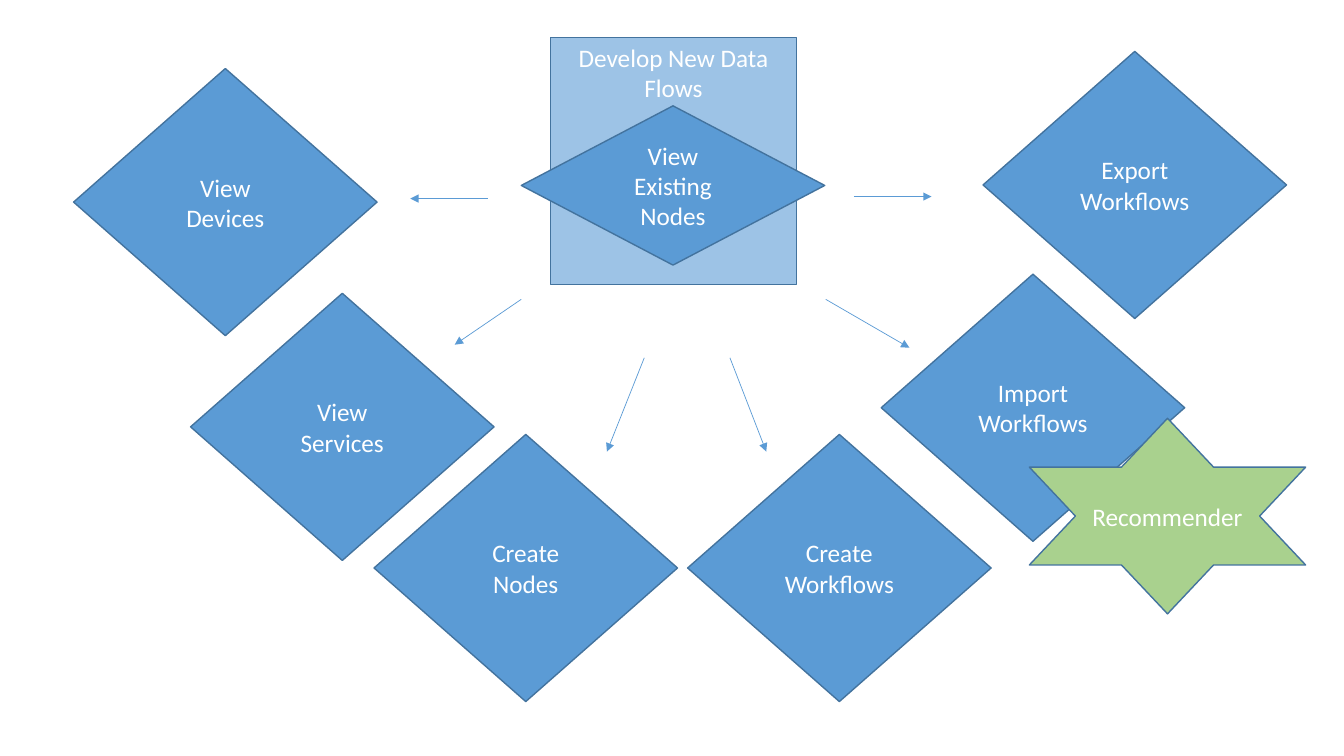
"""Builds a one-slide map of data flow actions around a central node viewer."""
from lxml import etree
from pptx import Presentation
from pptx.dml.color import RGBColor
from pptx.enum.shapes import MSO_CONNECTOR, MSO_SHAPE
from pptx.enum.text import MSO_ANCHOR, PP_ALIGN
from pptx.oxml.ns import qn
from pptx.util import Inches, Pt

RECTANGLE, DIAMOND, STAR = MSO_SHAPE.RECTANGLE, MSO_SHAPE.DIAMOND, MSO_SHAPE.STAR_6_POINT
STRAIGHT = MSO_CONNECTOR.STRAIGHT
TOP, MIDDLE = MSO_ANCHOR.TOP, MSO_ANCHOR.MIDDLE
CENTER = PP_ALIGN.CENTER

BLUE, PALE_BLUE, GREEN = "5B9BD5", "9DC3E6", "A9D18E"
OUTLINE, WHITE = "43739E", "FFFFFF"
ACTION_WIDTH, ACTION_HEIGHT = 3.01, 2.65
VIEWER_HEIGHT = 1.58

ACTIONS = [
    ("View Devices", 0.73, 0.68, ACTION_HEIGHT),
    ("Export Workflows", 9.75, 0.51, ACTION_HEIGHT),
    ("View Existing\nNodes", 5.17, 1.05, VIEWER_HEIGHT),
    ("Import Workflows", 8.74, 2.72, ACTION_HEIGHT),
    ("View Services", 1.89, 2.91, ACTION_HEIGHT),
    ("Create Nodes", 3.71, 4.31, ACTION_HEIGHT),
    ("Create\nWorkflows", 6.82, 4.31, ACTION_HEIGHT),
]
ARROWS = [
    ((4.84, 1.97), (4.07, 1.97)),
    ((6.39, 3.55), (6.02, 4.48)),
    ((5.17, 2.97), (4.51, 3.42)),
    ((7.24, 3.55), (7.6, 4.48)),
    ((8.19, 2.97), (9.02, 3.45)),
    ((8.47, 1.95), (9.24, 1.95)),
]


def color(value):
    return RGBColor.from_string(value)


def write(frame, text, anchor=MIDDLE, size=18, ink=WHITE):
    frame.word_wrap = True
    frame.vertical_anchor = anchor
    frame.text = text
    for paragraph in frame.paragraphs:
        paragraph.alignment = CENTER
        font = paragraph.runs[0].font
        font.name, font.size = "Calibri", Pt(size)
        font.color.rgb = color(ink)


def add_box(kind, text, left, top, width, height, fill=BLUE, **text_format):
    box = slide.shapes.add_shape(kind, *map(Inches, (left, top, width, height)))
    box.shadow.inherit = False
    box.fill.solid()
    box.fill.fore_color.rgb = color(fill)
    box.line.color.rgb = color(OUTLINE)
    box.line.width = Pt(1)
    write(box.text_frame, text, **text_format)


def add_arrow(start, end):
    arrow = slide.shapes.add_connector(STRAIGHT, *map(Inches, start + end))
    arrow.line.color.rgb = color(BLUE)
    arrow.line.width = Pt(0.5)
    etree.SubElement(arrow.line._get_or_add_ln(), qn("a:tailEnd"), type="triangle")
    etree.SubElement(arrow._element.spPr, qn("a:effectLst"))


presentation = Presentation()
presentation.slide_width, presentation.slide_height = Inches(13.33), Inches(7.5)
slide = presentation.slides.add_slide(presentation.slide_layouts[6])

add_box(RECTANGLE, "Develop New Data Flows", 5.46, 0.37, 2.44, 2.45,
        fill=PALE_BLUE, anchor=TOP)
for label, left, top, height in ACTIONS:
    add_box(DIAMOND, label, left, top, ACTION_WIDTH, height)
for start, end in ARROWS:
    add_arrow(start, end)
add_box(STAR, "Recommender", 10.21, 4.15, 2.74, 1.94, fill=GREEN)

presentation.save("out.pptx")
